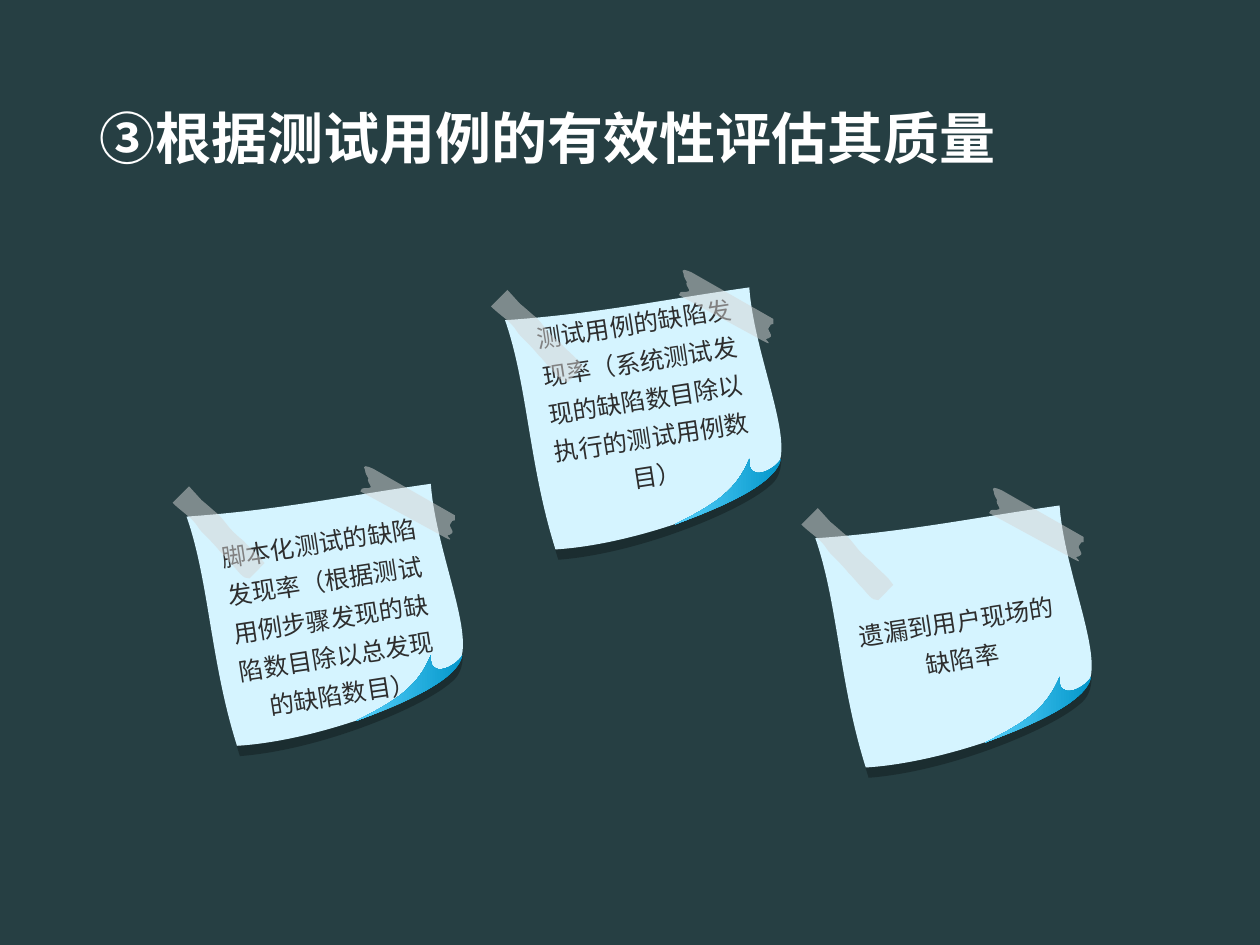
import math

from lxml import etree
from pptx import Presentation
from pptx.dml.color import RGBColor
from pptx.enum import text
from pptx.oxml import ns
from pptx.util import Pt

BACKGROUND = RGBColor(0x26, 0x3F, 0x43)
UNDERLAY = RGBColor(0x3F, 0x41, 0x43)
PAPER = RGBColor(0xD5, 0xF4, 0xFF)
FOLD_DARK = RGBColor(0x00, 0x94, 0xC8)
FOLD_LIGHT = RGBColor(0x5D, 0xD5, 0xFF)
TAPE = RGBColor(0xD5, 0xD5, 0xD5)
INK = RGBColor(0x2E, 0x2E, 0x2E)
WHITE = RGBColor(0xFF, 0xFF, 0xFF)
FONT = "Noto Sans CJK SC"

TITLE = "③根据测试用例的有效性评估其质量"
NOTES = [
    (90, 259.2, "脚本化测试的缺陷发现率（根据测试用例步骤发现的缺陷数目除以总发现的缺陷数目）", 3.6),
    (272, 147, "测试用例的缺陷发现率（系统测试发现的缺陷数目除以执行的测试用例数目）", 30),
    (449.3, 271.6, "遗漏到用户现场的缺陷率", 3.6),
]

# Each outline: frame, rotation, then a start point, lines (2 values) and curves (6 values).
UNDERLAY_OUTLINE = ((30.2, 28.8, 140.4, 129.6), 351.2, [
    (20.9, 40.3),
    (73.4, 36, 106.6, 31, 153.4, 24.5),
    (156.2, 67, 187.2, 110.2, 166.3, 125.3),
    (150.5, 139, 92.9, 163.4, 46.1, 167),
    (30.2, 118.1, 33.8, 76.3, 20.9, 40.3),
])
PAPER_OUTLINE = ((25.9, 24.5, 145.4, 134.6), 351.2, [
    (16.6, 36),
    (69.1, 32.4, 109.4, 23.8, 156.2, 17.3),
    (159.1, 59.8, 188.6, 118.1, 166.3, 123.8),
    (160.6, 138.2, 92.9, 164.2, 45.4, 167),
    (30.2, 118.8, 29.5, 72.7, 16.6, 36),
])
FOLD_OUTLINE = ((135.4, 97.2, 15.8, 71.3), 237.7, [
    (174.2, 115.2),
    (171.4, 131.8, 128.2, 146.9, 113.8, 152.6),
    (138.2, 140.4, 149, 132.5, 156.2, 115.2),
    (154.8, 128.9, 169.9, 122.4, 174.2, 115.2),
])
LEFT_TAPE_OUTLINE = ((27.4, 15.1, 14.4, 61.2), 315, [
    (8.6, 28.1), (18, 18.7), (25.2, 26.6),
    (28.8, 29.5, 31, 31.7, 34.6, 34.6),
    (38.2, 38.2, 40.3, 41.8, 43.2, 44.6),
    (46.1, 47.5, 48.2, 49, 49.7, 50.4),
    (49.7, 51.1, 59, 59, 59, 59.8),
    (61.2, 62.6), (52.6, 71.3),
    (49, 72, 46.1, 67, 43.2, 64.1),
    (41, 61.9, 38.2, 58.3, 35.3, 55.4),
    (32.4, 51.8, 28.8, 48.2, 25.9, 45.4),
    (23, 42.5, 23, 41, 20.2, 38.2),
    (16.6, 34.6, 12.2, 31.7, 8.6, 28.1),
])
RIGHT_TAPE_OUTLINE = ((110.9, 20.9, 63.4, 14.4), 29, [
    (123.1, 8.6), (169.9, 35.3), (169.9, 38.2),
    (169.9, 38.9, 168.5, 37.4, 167.8, 39.6),
    (167, 40.3, 167.8, 39.6, 167, 41),
    (167, 41.8, 169.2, 44.6, 168.5, 45.4),
    (167.8, 46.8, 166.3, 46.1, 165.6, 46.8),
    (164.9, 46.8, 171.4, 51.8, 163.4, 47.5),
    (115.9, 21.6),
    (116.6, 20.9, 116.6, 20.2, 116.6, 20.2),
    (117.4, 19.4, 120.2, 20.2, 121.7, 19.4),
    (122.4, 18.7, 120.2, 16.6, 120.2, 15.1),
    (121, 14.4, 120.2, 14.4, 120.2, 13.7),
    (119.5, 12.2, 118.8, 11.5, 118.8, 10.8),
    (119.5, 9.4, 114.5, 5, 123.1, 8.6),
])


def add_xml(parent, tag, **attrs):
    child = etree.SubElement(parent, ns.qn(tag))
    for name, value in attrs.items():
        child.set(name, str(value))
    return child


def unrotate(x, y, frame, rotation):
    left, top, width, height = frame
    a = math.radians(-rotation)
    dx, dy = x - left - width / 2, y - top - height / 2
    return (Pt(width / 2 + dx * math.cos(a) - dy * math.sin(a)),
            Pt(height / 2 + dx * math.sin(a) + dy * math.cos(a)))


def add_outline(slide, origin, outline):
    frame, rotation, segments = outline
    steps = [[unrotate(x, y, frame, rotation) for x, y in zip(s[::2], s[1::2])]
             for s in segments]
    builder = slide.shapes.build_freeform(*steps[0][0])
    builder.add_line_segments([step[-1] for step in steps[1:]])
    sp = builder.convert_to_shape()
    sp.left, sp.top = Pt(origin[0] + frame[0]), Pt(origin[1] + frame[1])
    sp.width, sp.height = Pt(frame[2]), Pt(frame[3])
    sp.rotation = rotation

    contour = sp._element.find(".//" + ns.qn("a:path"))
    contour.clear()
    contour.set("w", str(sp.width))
    contour.set("h", str(sp.height))
    for i, step in enumerate(steps):
        tag = "a:moveTo" if i == 0 else "a:cubicBezTo" if len(step) == 3 else "a:lnTo"
        command = add_xml(contour, tag)
        for x, y in step:
            add_xml(command, "a:pt", x=x, y=y)
    add_xml(contour, "a:close")
    sp.line.fill.background()
    sp.shadow.inherit = False
    return sp


def fill_solid(sp, color, alpha=None):
    sp.fill.solid()
    sp.fill.fore_color.rgb = color
    if alpha is not None:
        clr = sp._element.spPr.find(".//" + ns.qn("a:srgbClr"))
        add_xml(clr, "a:alpha", val=alpha * 1000)


def fill_fold(sp):
    sp.fill.gradient()
    sp.fill.gradient_angle = 58
    for stop, color in zip(sp.fill.gradient_stops, (FOLD_DARK, FOLD_LIGHT)):
        stop.color.rgb = color


def add_shadow(sp):
    effects = sp._element.spPr.find(ns.qn("a:effectLst"))
    shadow = add_xml(effects, "a:outerShdw", blurRad=0, dist=Pt(6),
                     dir=80 * 60000, algn="tl", rotWithShape=0)
    clr = add_xml(shadow, "a:srgbClr", val="000000")
    add_xml(clr, "a:alpha", val=27000)


def write(tf, words, size, color, align, spacing, bold=False):
    tf.word_wrap = True
    tf.vertical_anchor = text.MSO_ANCHOR.MIDDLE
    p = tf.paragraphs[0]
    p.alignment = align
    p.line_spacing = spacing
    r = p.add_run()
    r.text = words
    r.font.size, r.font.bold, r.font.name = Pt(size), bold, FONT
    r.font.color.rgb = color
    add_xml(r.font._element, "a:ea", typeface=FONT)


def add_note(slide, left, top, words, bottom_inset):
    origin = left, top
    underlay = add_outline(slide, origin, UNDERLAY_OUTLINE)
    fill_solid(underlay, UNDERLAY)
    add_shadow(underlay)
    paper = add_outline(slide, origin, PAPER_OUTLINE)
    fill_solid(paper, PAPER)
    tf = paper.text_frame
    tf.margin_left = tf.margin_right = Pt(14.4)
    tf.margin_top, tf.margin_bottom = Pt(3.6), Pt(bottom_inset)
    write(tf, words, 14, INK, text.PP_ALIGN.CENTER, 1.3)
    fill_fold(add_outline(slide, origin, FOLD_OUTLINE))
    for outline in (LEFT_TAPE_OUTLINE, RIGHT_TAPE_OUTLINE):
        fill_solid(add_outline(slide, origin, outline), TAPE, 50)


def add_title(slide):
    title = slide.shapes.title
    title.left, title.top, title.width, title.height = Pt(49.7), Pt(28.8), Pt(621.4), Pt(104.4)
    write(title.text_frame, TITLE, 32, WHITE, text.PP_ALIGN.LEFT, 0.9, bold=True)


def main():
    prs = Presentation()
    prs.slide_width, prs.slide_height = Pt(720), Pt(540)
    slide = prs.slides.add_slide(prs.slide_layouts[5])
    slide.background.fill.solid()
    slide.background.fill.fore_color.rgb = BACKGROUND
    add_title(slide)
    for note in NOTES:
        add_note(slide, *note)
    prs.save("out.pptx")


if __name__ == "__main__":
    main()
